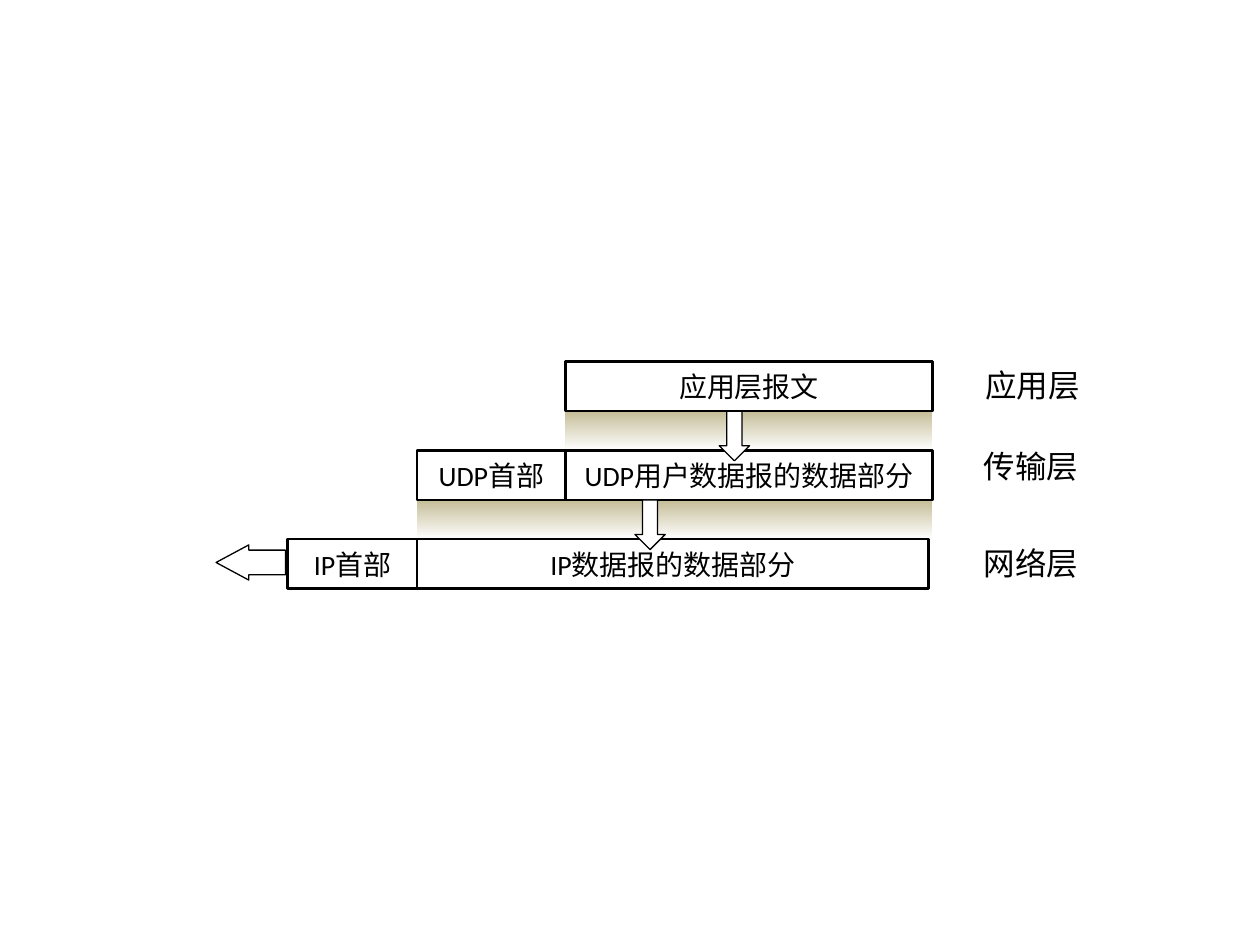
"""Draw how a UDP datagram is encapsulated layer by layer."""
from dataclasses import dataclass

from pptx import Presentation
from pptx.dml.color import RGBColor as RGB
from pptx.enum.shapes import MSO_SHAPE as Shape
from pptx.enum.text import MSO_ANCHOR as Anchor, MSO_AUTO_SIZE as AutoSize, PP_ALIGN as Align
from pptx.util import Cm, Pt


@dataclass(frozen=True)
class Theme:
    ink: RGB = RGB(0x00, 0x00, 0x00)
    paper: RGB = RGB(0xFF, 0xFF, 0xFF)
    sand: RGB = RGB(0xC4, 0xBD, 0x97)
    field_font: str = "Calibri"
    layer_font: str = "Arial"
    field_size: Pt = Pt(16)
    layer_size: Pt = Pt(18)
    field_line: Pt = Pt(1.5)
    arrow_line: Pt = Pt(0.75)


class Diagram:
    def __init__(self, slide, theme):
        self.slide = slide
        self.theme = theme

    def preset(self, kind, left, top, width, height):
        shape = self.slide.shapes.add_shape(kind, Cm(left), Cm(top), Cm(width), Cm(height))
        shape.shadow.inherit = False
        return shape

    def outline(self, shape, weight):
        shape.line.color.rgb = self.theme.ink
        shape.line.width = weight

    def caption(self, frame, text, font, size):
        frame.text = text
        run = frame.paragraphs[0].runs[0]
        run.font.name = font
        run.font.size = size
        run.font.color.rgb = self.theme.ink

    def band(self, left, top, right, height):
        shade = self.preset(Shape.RECTANGLE, left, top, right - left, height)
        shade.line.fill.background()
        shade.fill.gradient()
        shade.fill.gradient_angle = 270
        for stop, color, position in zip(
            shade.fill.gradient_stops, (self.theme.sand, self.theme.paper), (0, 1)
        ):
            stop.color.rgb = color
            stop.position = position

    def field(self, text, left, top, right, height):
        box = self.preset(Shape.RECTANGLE, left, top, right - left, height)
        box.fill.background()
        self.outline(box, self.theme.field_line)
        frame = box.text_frame
        frame.margin_left = frame.margin_right = 0
        frame.vertical_anchor = Anchor.MIDDLE
        self.caption(frame, text, self.theme.field_font, self.theme.field_size)
        frame.paragraphs[0].alignment = Align.CENTER

    def arrow(self, left, top, width, height, rotation=0, adjustments=()):
        arrow = self.preset(Shape.DOWN_ARROW, left, top, width, height)
        arrow.rotation = rotation
        for index, value in enumerate(adjustments):
            arrow.adjustments[index] = value
        arrow.fill.solid()
        arrow.fill.fore_color.rgb = self.theme.paper
        self.outline(arrow, self.theme.arrow_line)

    def layer(self, text, left, top):
        label = self.slide.shapes.add_textbox(Cm(left), Cm(top), Cm(2.44), Cm(1.02))
        frame = label.text_frame
        frame.word_wrap = False
        frame.auto_size = AutoSize.SHAPE_TO_FIT_TEXT
        self.caption(frame, text, self.theme.layer_font, self.theme.layer_size)


def main():
    deck = Presentation()
    deck.slide_width, deck.slide_height = Cm(25.4), Cm(19.05)
    diagram = Diagram(deck.slides.add_slide(deck.slide_layouts[6]), Theme())

    row_height, pitch = 1.0, 1.79
    message_top, udp_top, ip_top = (7.29 + pitch * row for row in range(3))
    ip_left, udp_left, data_left, data_right, ip_right = 5.8, 8.41, 11.4, 18.8, 18.72

    for left, top in ((udp_left, udp_top), (data_left, message_top)):
        diagram.band(left, top + row_height, data_right, pitch - row_height)

    for text, left, top, right in (
        ("UDP用户数据报的数据部分", data_left, udp_top, data_right),
        ("UDP首部", udp_left, udp_top, data_left),
        ("应用层报文", data_left, message_top, data_right),
        ("IP数据报的数据部分", udp_left, ip_top, ip_right),
        ("IP首部", ip_left, ip_top, udp_left),
    ):
        diagram.field(text, left, top, right, row_height)

    for left, top in ((14.5, message_top), (12.8, udp_top)):
        diagram.arrow(left, top + row_height, 0.61, 1.0)
    diagram.arrow(4.7, 10.64, 0.71, 1.4, rotation=90, adjustments=(0.7, 0.93))

    for text, left, top in (
        ("应用层", 19.61, 7.26),
        ("传输层", 19.58, 8.89),
        ("网络层", 19.58, 10.85),
    ):
        diagram.layer(text, left, top)

    deck.save("out.pptx")


if __name__ == "__main__":
    main()
